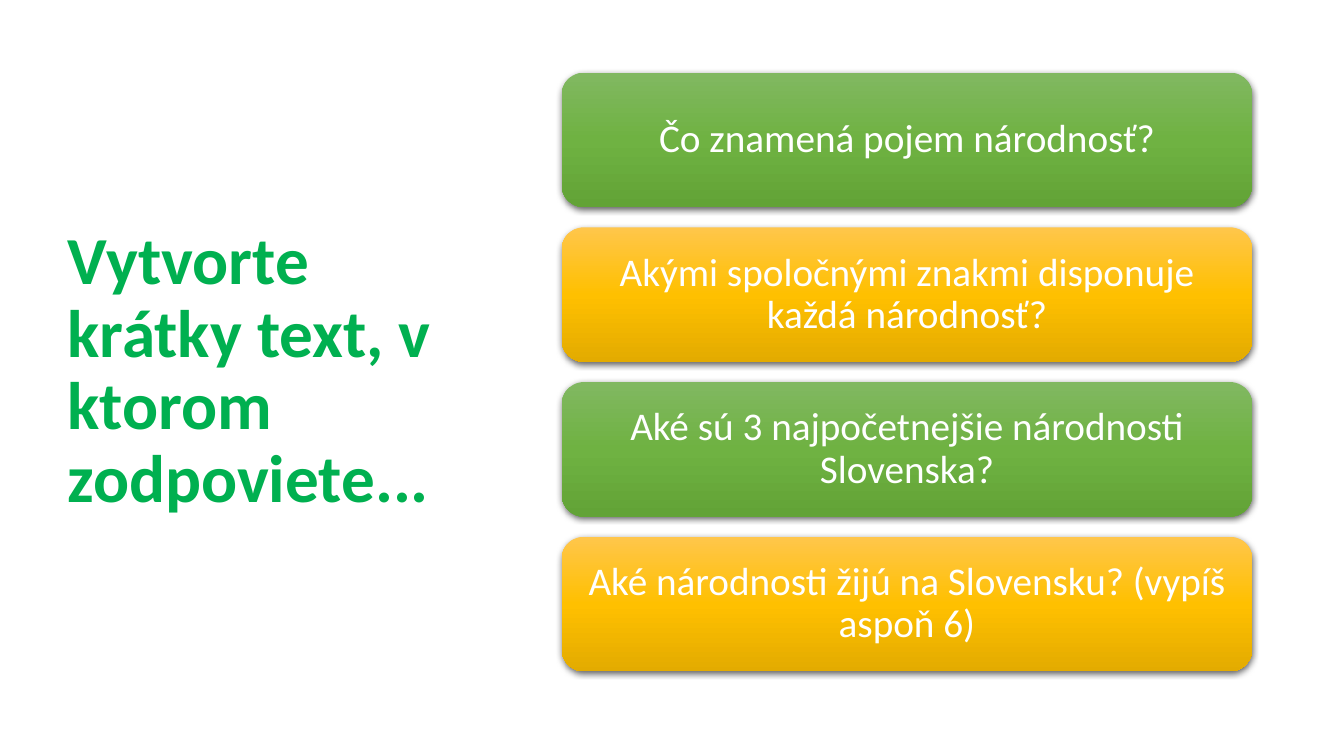
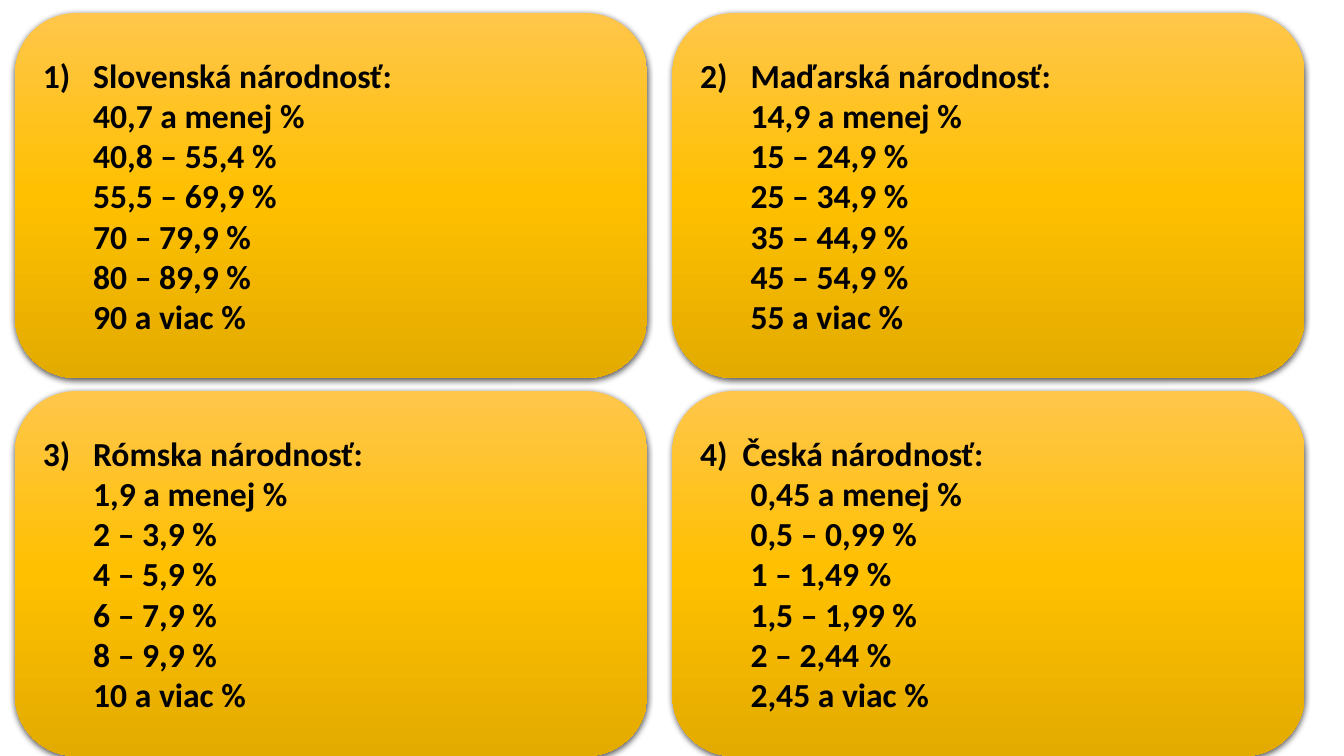
from copy import deepcopy

from lxml import etree
from pptx import Presentation
from pptx.dml.color import RGBColor
from pptx.enum.shapes import MSO_SHAPE
from pptx.enum.text import MSO_ANCHOR, MSO_AUTO_SIZE, PP_ALIGN
from pptx.oxml.ns import qn
from pptx.util import Inches, Pt

ROUNDED = MSO_SHAPE.ROUNDED_RECTANGLE
MIDDLE = MSO_ANCHOR.MIDDLE
NO_AUTOFIT = MSO_AUTO_SIZE.NONE
LEFT, CENTER = PP_ALIGN.LEFT, PP_ALIGN.CENTER

FONT = "Calibri"
WHITE = RGBColor(0xFF, 0xFF, 0xFF)
BLACK = RGBColor(0x00, 0x00, 0x00)
TITLE_GREEN = RGBColor(0x00, 0xB0, 0x50)
GREEN_SHADES = (RGBColor(0x81, 0xB8, 0x61), RGBColor(0x6F, 0xB2, 0x42), RGBColor(0x62, 0xA3, 0x36))
GOLD_SHADES = (RGBColor(0xFF, 0xC6, 0x4B), RGBColor(0xFF, 0xC0, 0x00), RGBColor(0xE3, 0xAB, 0x00))

TITLE_ONLY_LAYOUT, BLANK_LAYOUT = 5, 6
TEXT_INDENT = 0.5

TITLE = "Vytvorte krátky text, v ktorom zodpoviete..."
QUESTIONS = (
    "Čo znamená pojem národnosť?",
    "Akými spoločnými znakmi disponuje každá národnosť?",
    "Aké sú 3 najpočetnejšie národnosti Slovenska?",
    "Aké národnosti žijú na Slovensku? (vypíš aspoň 6)",
)
NATIONALITIES = (
    ("Slovenská národnosť:", TEXT_INDENT,
     ("40,7 a menej %", "40,8 – 55,4 %", "55,5 – 69,9 %", "70 – 79,9 %", "80 – 89,9 %", "90 a viac %")),
    ("Maďarská národnosť:", TEXT_INDENT,
     ("14,9 a menej %", "15 – 24,9 %", "25 – 34,9 %", "35 – 44,9 %", "45 – 54,9 %", "55 a viac %")),
    ("Rómska národnosť:", TEXT_INDENT,
     ("1,9 a menej %", "2 – 3,9 %", "4 – 5,9 %", "6 – 7,9 %", "8 – 9,9 %", "10 a viac %")),
    ("Česká národnosť:", 0.42,
     ("0,45 a menej %", "0,5 – 0,99 %", "1 – 1,49 %", "1,5 – 1,99 %", "2 – 2,44 %", "2,45 a viac %")),
)


def add_text(paragraph, text, size, color, bold=False):
    """Add one formatted run to a paragraph."""
    run = paragraph.add_run()
    run.text = text
    run.font.name = FONT
    run.font.size = Pt(size)
    run.font.bold = bold
    run.font.color.rgb = color


def fill_gradient(shape, shades):
    """Fill a shape with three shades running from top to bottom."""
    shape.fill.gradient()
    shape.fill.gradient_angle = 270
    stop_list = shape._element.spPr.find(".//" + qn("a:gsLst"))
    stop_list.append(deepcopy(stop_list[0]))
    for stop, position, shade in zip(shape.fill.gradient_stops, (0, 0.5, 1), shades):
        stop.position = position
        stop.color.rgb = shade


def add_soft_shadow(shape):
    """Give a shape a soft black shadow just below it."""
    shape.shadow.inherit = False
    effects = shape._element.spPr.find(qn("a:effectLst"))
    shadow = etree.SubElement(effects, qn("a:outerShdw"), blurRad=str(Pt(4.5)), dist=str(Pt(1.5)),
                              dir="5400000", algn="ctr", rotWithShape="0")
    color = etree.SubElement(shadow, qn("a:srgbClr"), val=str(BLACK))
    etree.SubElement(color, qn("a:alpha"), val="63000")


def add_card(slide, left, top, width, height, shades):
    """Add a rounded gradient card and return its text frame."""
    shape = slide.shapes.add_shape(ROUNDED, Inches(left), Inches(top), Inches(width), Inches(height))
    fill_gradient(shape, shades)
    shape.line.fill.background()
    add_soft_shadow(shape)
    frame = shape.text_frame
    frame.word_wrap = True
    frame.vertical_anchor = MIDDLE
    return frame


def indent(paragraph, margin, first_line=0):
    """Set the left margin and first-line offset of a paragraph."""
    properties = paragraph._p.get_or_add_pPr()
    properties.set("marL", str(Inches(margin)))
    properties.set("indent", str(Inches(first_line)))
    return properties


def place_title(slide, left, top, width, height):
    """Move and format the title placeholder."""
    title = slide.shapes.title
    title.left, title.top = Inches(left), Inches(top)
    title.width, title.height = Inches(width), Inches(height)
    frame = title.text_frame
    frame.word_wrap = True
    frame.auto_size = NO_AUTOFIT
    frame.vertical_anchor = MIDDLE
    paragraph = frame.paragraphs[0]
    paragraph.alignment = LEFT
    paragraph.line_spacing = 0.9
    add_text(paragraph, TITLE, 48, TITLE_GREEN, bold=True)


def place_questions(slide, left, top, width, height, gap=0.2):
    """Stack the question cards evenly in a box, in alternating colours."""
    card_height = (height + gap) / len(QUESTIONS) - gap
    for index, question in enumerate(QUESTIONS):
        shades = GOLD_SHADES if index % 2 else GREEN_SHADES
        frame = add_card(slide, left, top + index * (card_height + gap), width, card_height, shades)
        frame.margin_left = frame.margin_right = Inches(0.12)
        frame.margin_top = frame.margin_bottom = Inches(0.12)
        paragraph = frame.paragraphs[0]
        paragraph.alignment = CENTER
        paragraph.line_spacing = 0.9
        add_text(paragraph, question, 28, WHITE)


def fill_nationality(frame, number, heading, heading_indent, ranges):
    """Write a numbered heading and its percentage ranges."""
    paragraph = frame.paragraphs[0]
    paragraph.alignment = LEFT
    properties = indent(paragraph, heading_indent, -heading_indent)
    etree.SubElement(properties, qn("a:buFont"), typeface="+mj-lt")
    etree.SubElement(properties, qn("a:buAutoNum"), type="arabicParenR", startAt=str(number))
    add_text(paragraph, heading, 24, BLACK, bold=True)
    for percentage in ranges:
        paragraph = frame.add_paragraph()
        paragraph.alignment = LEFT
        paragraph.level = 1
        indent(paragraph, TEXT_INDENT)
        add_text(paragraph, percentage, 24, BLACK, bold=True)


def place_nationalities(slide, left, top, width, height, column_gap=0.25, row_gap=0.13):
    """Lay the nationality cards out two by two in a box."""
    card_width = (width - column_gap) / 2
    card_height = (height - row_gap) / 2
    for index, nationality in enumerate(NATIONALITIES):
        row, column = divmod(index, 2)
        frame = add_card(slide, left + column * (card_width + column_gap),
                         top + row * (card_height + row_gap), card_width, card_height, GOLD_SHADES)
        fill_nationality(frame, index + 1, *nationality)


def build_question_slide(presentation):
    """Build the slide with the title beside the questions."""
    slide = presentation.slides.add_slide(presentation.slide_layouts[TITLE_ONLY_LAYOUT])
    place_title(slide, 0.57, 0.68, 4.16, 6.02)
    place_questions(slide, 5.57, 0.72, 6.85, 5.94)


def build_nationality_slide(presentation):
    """Build the slide with the four nationality cards."""
    slide = presentation.slides.add_slide(presentation.slide_layouts[BLANK_LAYOUT])
    place_nationalities(slide, 0.15, 0.13, 12.79, 7.37)


def main():
    """Build and save the presentation."""
    presentation = Presentation()
    presentation.slide_width = Inches(13.33)
    presentation.slide_height = Inches(7.5)
    build_question_slide(presentation)
    build_nationality_slide(presentation)
    presentation.save("out.pptx")


if __name__ == "__main__":
    main()
